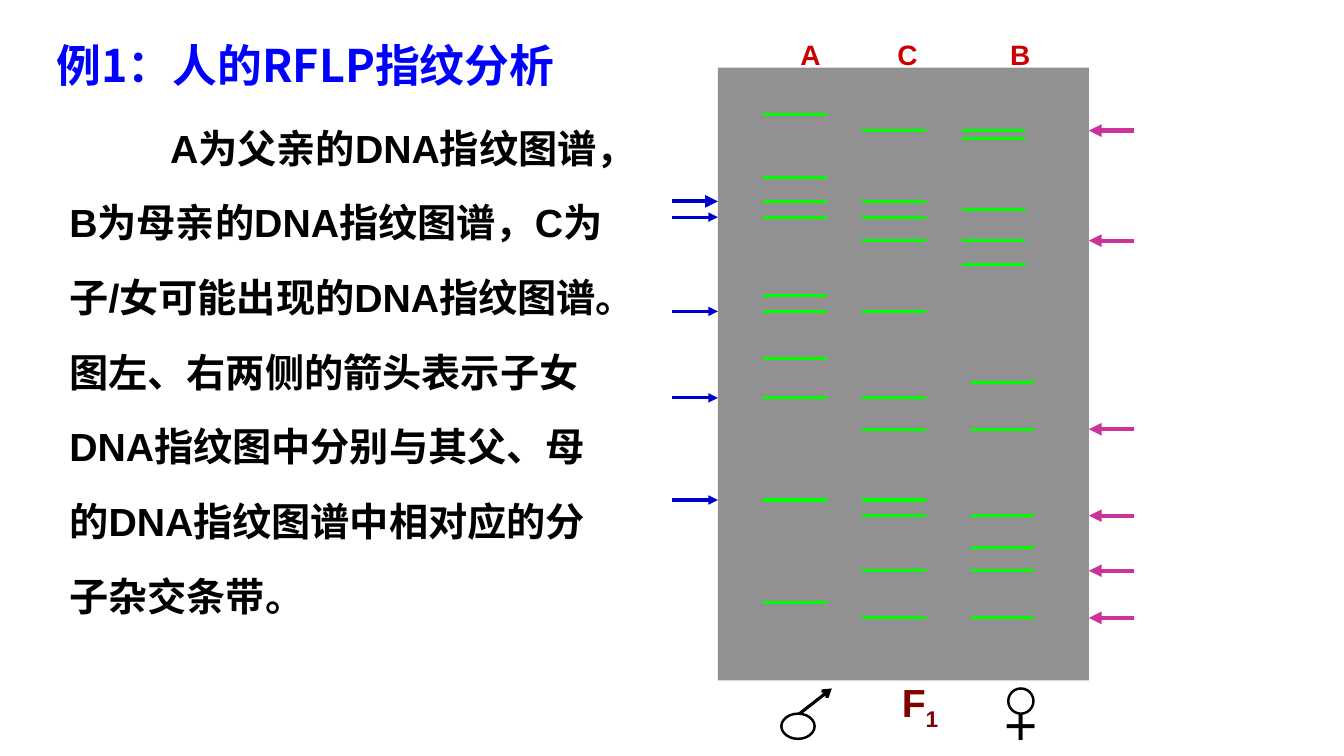
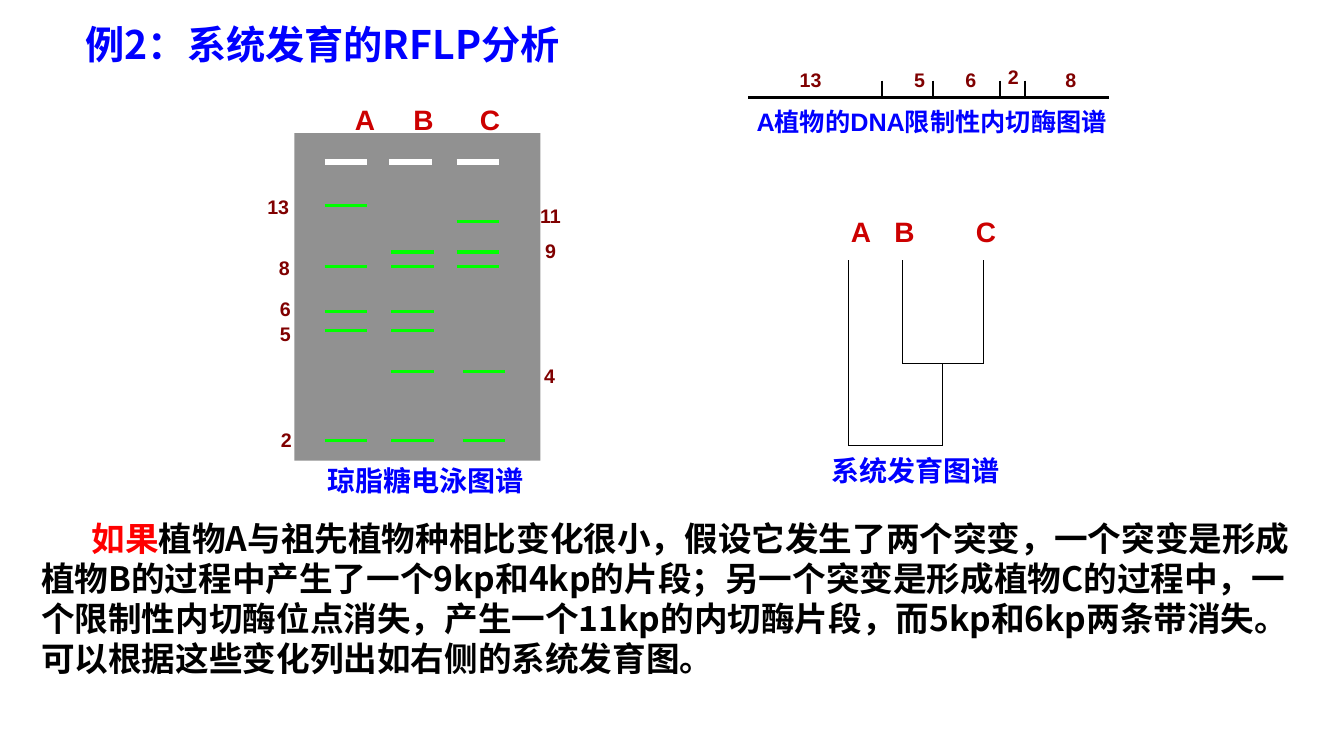
from lxml.etree import SubElement
from pptx import Presentation
from pptx.dml.color import RGBColor
from pptx.enum.shapes import MSO_CONNECTOR, MSO_SHAPE
from pptx.enum.text import MSO_ANCHOR, PP_ALIGN
from pptx.oxml.ns import qn
from pptx.util import Inches, Pt

# Shared style
BLACK = RGBColor(0x00, 0x00, 0x00)
WHITE = RGBColor(0xFF, 0xFF, 0xFF)
BLUE = RGBColor(0x00, 0x00, 0xFF)
ARROW_BLUE = RGBColor(0x00, 0x00, 0xCC)
PURPLE = RGBColor(0xCC, 0x33, 0x99)
RED = RGBColor(0xFF, 0x00, 0x00)
LANE_RED = RGBColor(0xCC, 0x00, 0x00)
MAROON = RGBColor(0x80, 0x00, 0x00)
GREEN = RGBColor(0x00, 0xFF, 0x00)
GEL_GREY = RGBColor(0x91, 0x91, 0x91)
LATIN, CJK = "Arial", "Noto Sans CJK SC"
LINE_HEIGHT = 1.19

# Slide 1: fingerprint of a family
FAMILY_TITLE = "例1：人的RFLP指纹分析"
FAMILY_TEXT = (
    "A为父亲的DNA指纹图谱，B为母亲的DNA指纹图谱，C为子/女可能出现的DNA指纹图谱。"
    "图左、右两侧的箭头表示子女DNA指纹图中分别与其父、母的DNA指纹图谱中相对应的分子杂交条带。")
FAMILY_GEL = (7.12, 0.67, 3.68, 6.08)
FIRST_ROW, LAST_ROW, ROW_COUNT = 1.14, 6.13, 64
FATHER = [0, 8, 11, 13, 23, 25, 31, 36, 49, 62]
CHILD = [2, 11, 13, 16, 25, 36, 40, 49, 51, 58, 64]
MOTHER_UPPER = [2, 3, 12, 16, 19]
MOTHER_LOWER = [34, 40, 51, 55, 58, 64]
FAMILY_LANES = [(7.57, FATHER), (8.55, CHILD), (9.54, MOTHER_UPPER), (9.63, MOTHER_LOWER)]
FAMILY_HEADS = [("A", 8.04), ("C", 9), ("B", 10.12)]
FAMILY_BAND, ARROW_LENGTH, HEAVY_ROW = 0.63, 0.45, 11

# Slide 2: fragments, restriction map and tree
PLANT_TITLE = "例2：系统发育的RFLP分析"
PLANT_LEAD = "如果"
PLANT_TEXT = (
    "植物A与祖先植物种相比变化很小，假设它发生了两个突变，一个突变是形成植物B的过程中"
    "产生了一个9kp和4kp的片段；另一个突变是形成植物C的过程中，一个限制性内切酶位点消失，"
    "产生一个11kp的内切酶片段，而5kp和6kp两条带消失。可以根据这些变化列出如右侧的系统发育图。")
PLANT_GEL = (2.92, 1.32, 2.44, 3.25)
WELLS, WELL_Y, PLANT_BAND = [3.22, 3.86, 4.53], 1.61, 0.42
FRAGMENT_Y = {13: 2.04, 11: 2.2, 9: 2.5, 8: 2.64, 6: 3.09, 5: 3.28, 4: 3.69, 2: 4.37}
PLANT_LANES = [(3.22, [13, 8, 6, 5, 2]), (3.88, [9, 8, 6, 5, 4, 2]),
               (4.53, [11, 9, 8]), (4.59, [4, 2])]
PLANT_HEADS = [("A", 3.62), ("B", 4.2), ("C", 4.86)]
# fragment, label centre, label top
FRAGMENT_LABELS = [(13, 2.76, 1.89), (8, 2.82, 2.49), (6, 2.83, 2.9), (5, 2.83, 3.15),
                   (2, 2.84, 4.2), (11, 5.46, 1.98), (9, 5.46, 2.32), (4, 5.45, 3.56)]
MAP_START, MAP_END, MAP_Y = 7.42, 11, 0.97
MAP_SITES = [8.75, 9.25, 9.92, 10.17]
MAP_LABELS = [(13, 8.04, 0.63), (5, 9.12, 0.63), (6, 9.63, 0.63), (2, 10.05, 0.6), (8, 10.62, 0.63)]
TREE_HEADS = [("A", 8.54), ("B", 8.97), ("C", 9.78)]
LEAF_A, LEAF_B, LEAF_C, NODE_BC = 8.42, 8.95, 9.75, 9.35
LEAF_Y, NODE_Y, ROOT_Y = 2.58, 3.61, 4.42
TREE = [(LEAF_A, LEAF_Y, LEAF_A, ROOT_Y), (LEAF_B, LEAF_Y, LEAF_B, NODE_Y),
        (LEAF_C, LEAF_Y, LEAF_C, NODE_Y), (NODE_BC, NODE_Y, NODE_BC, ROOT_Y),
        (LEAF_B, NODE_Y, LEAF_C, NODE_Y), (LEAF_A, ROOT_Y, NODE_BC, ROOT_Y)]
CAPTIONS = [("A植物的DNA限制性内切酶图谱", (7.36, 1.01, 3.76, 0.4), 18),
            ("琼脂糖电泳图谱", (3.01, 4.55, 2.42, 0.43), 20),
            ("系统发育图谱", (8.08, 4.45, 2, 0.43), 20)]


# Helpers
def style(run, size, color, font=LATIN):
    run.font.size, run.font.bold, run.font.name = Pt(size), True, font
    run.font.color.rgb = color
    SubElement(run.font._element, qn("a:ea")).set("typeface", CJK)


def write(slide, box, parts, size, font=LATIN, align=PP_ALIGN.CENTER, spacing=1, indent=0):
    """Put (text, colour) parts into one paragraph of a wrapped box."""
    frame = slide.shapes.add_textbox(*map(Inches, box)).text_frame
    frame.word_wrap = True
    paragraph = frame.paragraphs[0]
    paragraph.alignment = align
    paragraph.line_spacing = Pt(round(size * LINE_HEIGHT * spacing, 1))
    if indent:
        paragraph._p.get_or_add_pPr().set("indent", str(Inches(indent)))
    for text, color in parts:
        run = paragraph.add_run()
        run.text = text
        style(run, size, color, font)
    return paragraph


def label(slide, text, center, top, size, color):
    width = 0.74
    write(slide, (center - width / 2, top, width, 0.4), [(str(text), color)], size)


def heads(slide, lanes, top):
    for name, center in lanes:
        label(slide, name, center, top, 20, LANE_RED)


def line(slide, ends, color, width, arrow=None):
    connector = slide.shapes.add_connector(MSO_CONNECTOR.STRAIGHT, *map(Inches, ends))
    connector.line.color.rgb, connector.line.width = color, Pt(width)
    if arrow:
        SubElement(connector.line._get_or_add_ln(), qn("a:tailEnd")).set("type", arrow)
    SubElement(connector._element.spPr, qn("a:effectLst"))


def shape(slide, kind, box, fill, outline=None):
    drawn = slide.shapes.add_shape(kind, *map(Inches, box))
    drawn.shadow.inherit = False
    drawn.fill.solid()
    drawn.fill.fore_color.rgb = fill
    if outline is None:
        drawn.line.fill.background()
    else:
        drawn.line.color.rgb, drawn.line.width = outline, Pt(1.75)


def gel(slide, box, lanes, height_of, band):
    shape(slide, MSO_SHAPE.RECTANGLE, box, GEL_GREY)
    for left, bands in lanes:
        for y in map(height_of, bands):
            line(slide, (left, y, left + band, y), GREEN, 2.25)


def titled_slide(deck, text, box, size):
    slide = deck.slides.add_slide(deck.slide_layouts[5])
    title = slide.shapes.title
    title.left, title.top, title.width, title.height = map(Inches, box)
    frame = title.text_frame
    frame.text = text
    frame.word_wrap, frame.vertical_anchor = True, MSO_ANCHOR.MIDDLE
    paragraph = frame.paragraphs[0]
    paragraph.alignment = PP_ALIGN.LEFT
    paragraph.line_spacing = Pt(round(size * LINE_HEIGHT * 0.9, 1))
    style(paragraph.runs[0], size, BLUE, CJK)
    return slide


def row_y(row):
    return FIRST_ROW + row * (LAST_ROW - FIRST_ROW) / ROW_COUNT


def family_slide(deck):
    slide = titled_slide(deck, FAMILY_TITLE, (0.46, 0.38, 6.17, 0.58), 32)
    write(slide, (0.59, 0.91, 5.54, 5.28), [(FAMILY_TEXT, BLACK)], 28,
          align=PP_ALIGN.LEFT, spacing=1.6, indent=1)

    # Female, male and offspring signs
    write(slide, (9.75, 6.92, 0.75, 0.57), [("＋", BLACK)], 28)
    shape(slide, MSO_SHAPE.OVAL, (10, 6.83, 0.25, 0.25), WHITE, BLACK)
    shape(slide, MSO_SHAPE.OVAL, (7.75, 7.08, 0.33, 0.25), WHITE, BLACK)
    line(slide, (7.93, 7.08, 8.25, 6.83), BLACK, 2.25, "arrow")
    offspring = write(slide, (8.75, 6.75, 0.75, 0.57), [("F", MAROON), ("1", MAROON)], 28)
    offspring.runs[1].font._element.set("baseline", "-25000")

    # Gel, with arrows at the bands the child shares with each parent
    gel(slide, FAMILY_GEL, FAMILY_LANES, row_y, FAMILY_BAND)
    left, right = FAMILY_GEL[0], FAMILY_GEL[0] + FAMILY_GEL[2]
    for row in CHILD:
        y = row_y(row)
        if row in FATHER:
            width = 3 if row == HEAVY_ROW else 2.25
            line(slide, (left - ARROW_LENGTH, y, left, y), ARROW_BLUE, width, "triangle")
        if row in MOTHER_UPPER + MOTHER_LOWER:
            line(slide, (right + ARROW_LENGTH, y, right, y), PURPLE, 3, "triangle")
    heads(slide, FAMILY_HEADS, 0.33)


def plant_slide(deck):
    slide = titled_slide(deck, PLANT_TITLE, (0.75, 0.22, 6.08, 0.48), 28)
    write(slide, (0.31, 5.09, 12.71, 1.72), [(PLANT_LEAD, RED), (PLANT_TEXT, BLACK)], 24,
          font=CJK, align=PP_ALIGN.LEFT, indent=0.5)

    # Restriction map
    line(slide, (MAP_START, MAP_Y, MAP_END, MAP_Y), BLACK, 2.25)
    for x in MAP_SITES:
        line(slide, (x, MAP_Y - 0.17, x, MAP_Y), BLACK, 1.5)

    # Gel with wells
    gel(slide, PLANT_GEL, PLANT_LANES, FRAGMENT_Y.get, PLANT_BAND)
    for x in WELLS:
        line(slide, (x, WELL_Y, x + PLANT_BAND, WELL_Y), WHITE, 4.5)
    heads(slide, PLANT_HEADS, 0.97)

    # Tree
    for branch in TREE:
        line(slide, branch, BLACK, 0.75)
    heads(slide, TREE_HEADS, 2.08)

    # Fragment sizes and captions
    for size, center, top in MAP_LABELS + FRAGMENT_LABELS:
        label(slide, size, center, top, 14, MAROON)
    for text, box, size in CAPTIONS:
        write(slide, box, [(text, BLUE)], size)


def main():
    deck = Presentation()
    deck.slide_width, deck.slide_height = Inches(13.33), Inches(7.5)
    family_slide(deck)
    plant_slide(deck)
    deck.save("out.pptx")


if __name__ == "__main__":
    main()
